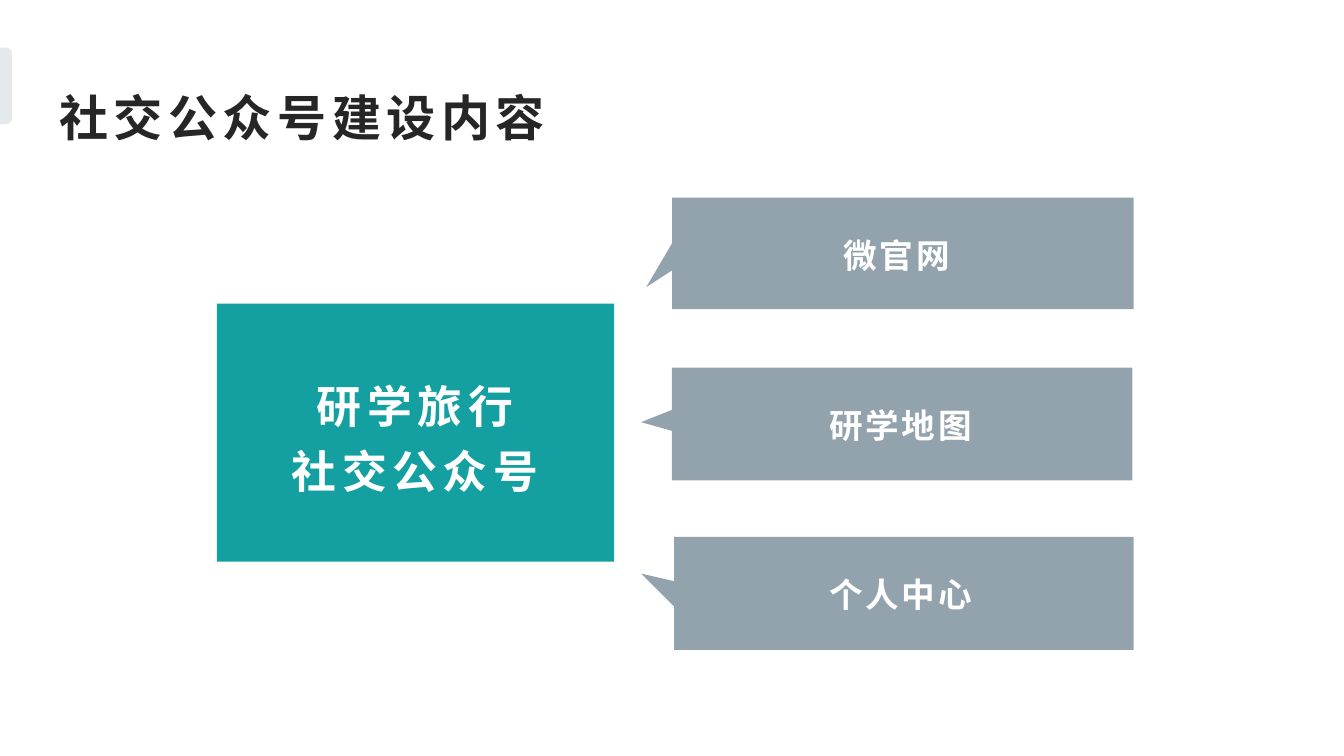
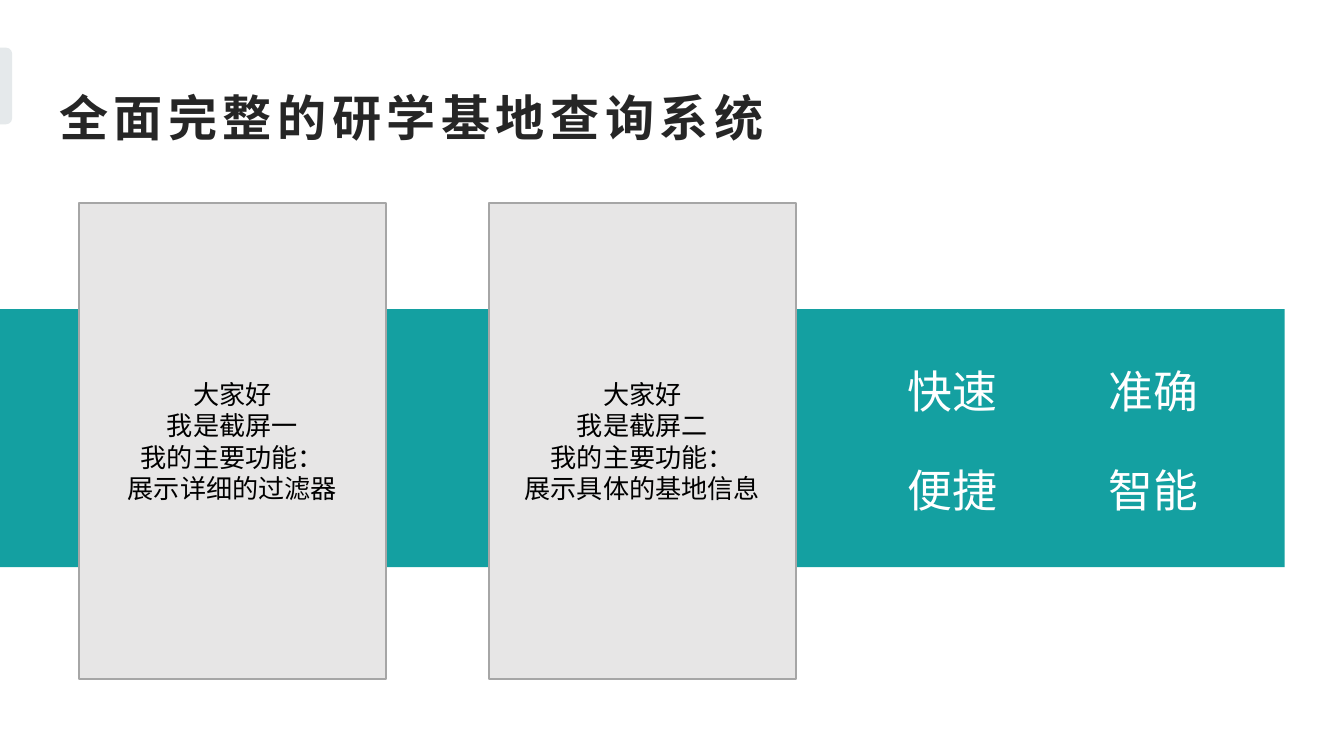
from lxml.etree import SubElement
from pptx import Presentation
from pptx.dml.color import RGBColor
from pptx.enum.shapes import MSO_SHAPE
from pptx.enum.text import MSO_ANCHOR, MSO_AUTO_SIZE, PP_ALIGN
from pptx.oxml.ns import qn
from pptx.util import Pt

PX = 4572
HUES = {"teal": "14A0A1", "slate": "93A3AD", "tab": "E5E9EB", "ink": "262626",
        "white": "FFFFFF", "black": "000000", "card": "E7E6E6", "edge": "A6A6A6"}
SANS = "Noto Sans CJK SC"


def hue(name):
    return RGBColor.from_string(HUES[name])


def emu(box):
    return [n * PX for n in box]


def paint(shape, fill, edge=None):
    shape.shadow.inherit = False
    shape.fill.solid()
    shape.fill.fore_color.rgb = hue(fill)
    if edge:
        shape.line.color.rgb = hue(edge)
        shape.line.width = Pt(1)
    else:
        shape.line.fill.background()
    return shape


def block(slide, box, fill, kind=MSO_SHAPE.RECTANGLE, turn=0, flip=False, adj=(), edge=None):
    shape = paint(slide.shapes.add_shape(kind, *emu(box)), fill, edge)
    shape.rotation = turn
    for i, value in enumerate(adj):
        shape.adjustments[i] = value
    if flip:
        shape.element.spPr.find(qn("a:xfrm")).set("flipH", "1")
    return shape


def write(shape, text, size, color="white", font=SANS, bold=False, gap=0,
          align=PP_ALIGN.LEFT, lead=None, anchor=MSO_ANCHOR.TOP, inset=(20, 10)):
    frame = shape.text_frame
    frame.word_wrap = True
    frame.auto_size = MSO_AUTO_SIZE.NONE
    frame.vertical_anchor = anchor
    frame.margin_left = frame.margin_right = inset[0] * PX
    frame.margin_top = frame.margin_bottom = inset[1] * PX
    frame.text = text
    for para in frame.paragraphs:
        para.alignment = align
        if lead:
            para.line_spacing = lead
        for run in para.runs:
            run.font.size = Pt(size)
            run.font.bold = bold
            run.font.name = font
            run.font.color.rgb = hue(color)
            props = run.font._element
            SubElement(props, qn("a:ea")).set("typeface", font)
            if gap:
                props.set("spc", str(int(gap * 100)))
    return frame


def label(slide, box, text, size, **style):
    return write(slide.shapes.add_textbox(*emu(box)), text, size, **style)


def start(deck, text, width):
    """Add a slide with the side tab and the title that all slides share."""
    slide = deck.slides.add_slide(deck.slide_layouts[5])
    block(slide, (-48, 119, 114, 18), "tab", MSO_SHAPE.ROUND_2_SAME_RECTANGLE, 90, adj=(0.5, 0))
    title = slide.shapes.title
    title.left, title.top, title.width, title.height = emu((74, 119, width, 106))
    write(title, text, 26.3, "ink", bold=True, gap=3, anchor=MSO_ANCHOR.BOTTOM, inset=(14, 7))
    return slide


def hub(slide, box, text):
    x, y, w, h = box
    block(slide, box, "teal")
    label(slide, (x + 18, y + 78, w - 38, h - 156), text, 24, bold=True, gap=3, lead=1.2,
          align=PP_ALIGN.CENTER, anchor=MSO_ANCHOR.MIDDLE, inset=(14, 7))


def panel(slide, box, text, inner, tail, turn, adj=()):
    """Draw a panel with a clipped corner, its label and its pointer."""
    x, y, w, h = box
    pen = slide.shapes.build_freeform(x, y, scale=PX)
    pen.add_line_segments([(x + w - 1, y), (x + w, y + 1), (x + w, y + h), (x, y + h)])
    paint(pen.convert_to_shape(), "slate")
    left, width = inner
    label(slide, (x + left, y + 36, width, 60), text, 18, bold=True, gap=1.5,
          lead=1.2, inset=(14, 7))
    dx, dy, tw, th = tail
    block(slide, (x + dx, y + dy, tw, th), "slate", MSO_SHAPE.ISOSCELES_TRIANGLE,
          turn, True, adj)


def card(slide, box, text):
    shape = block(slide, box, "card", edge="edge")
    write(shape, text, 14, "black", "Calibri", align=PP_ALIGN.CENTER,
          anchor=MSO_ANCHOR.MIDDLE)


def traits(slide, box, words):
    """Set the words out in a grid of two columns."""
    x, y, step, drop = box
    for i, word in enumerate(words):
        row, col = divmod(i, 2)
        frame = label(slide, (x + col * step, y + row * drop, 220, 101), word, 24)
        frame.auto_size = MSO_AUTO_SIZE.SHAPE_TO_FIT_TEXT


def content(deck):
    slide = start(deck, "社交公众号建设内容", 840)
    hub(slide, (323, 452, 591, 384), "研学旅行\n社交公众号")
    panel(slide, (1000, 294, 687, 166), "微官网", (241, 204), (-35, 35, 50, 100), 237, (1,))
    panel(slide, (1000, 547, 685, 168), "研学地图", (220, 250), (-38, 55, 34, 50), 267)
    panel(slide, (1003, 799, 684, 168), "个人中心", (217, 408), (-36, 33, 48, 84), 299)


def search(deck):
    slide = start(deck, "全面完整的研学基地查询系统", 1384)
    block(slide, (0, 460, 1912, 384), "teal")
    traits(slide, (1331, 531, 299, 147), ("快速", "准确", "便捷", "智能"))
    shots = (("一", "详细的过滤器"), ("二", "具体的基地信息"))
    for i, (mark, role) in enumerate(shots):
        card(slide, (118 + i * 610, 302, 456, 709),
             f"大家好\n我是截屏{mark}\n我的主要功能：\n展示{role}")


def main():
    deck = Presentation()
    deck.slide_width, deck.slide_height = emu((2000, 1125))
    content(deck)
    search(deck)
    deck.save("out.pptx")


if __name__ == "__main__":
    main()
